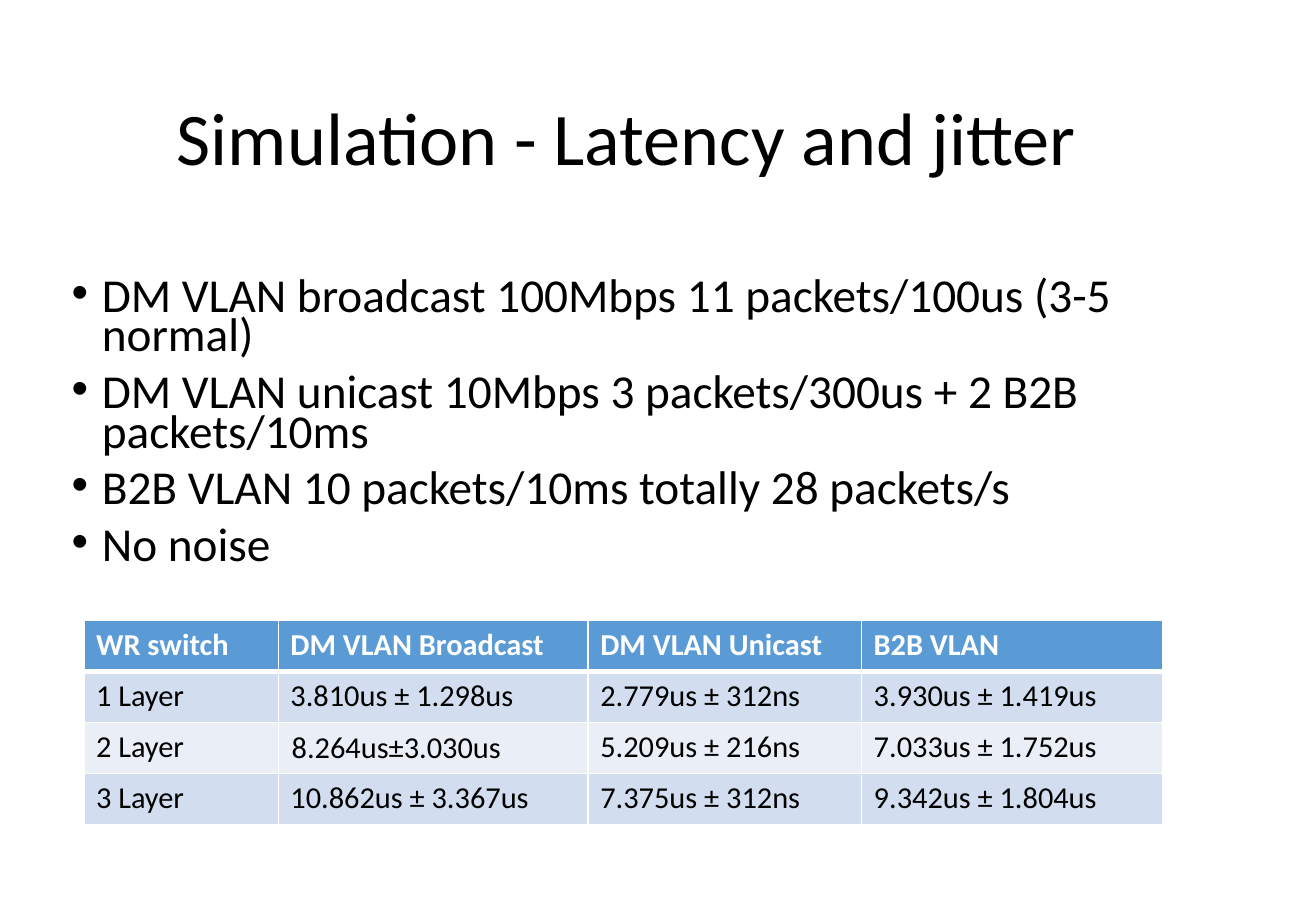
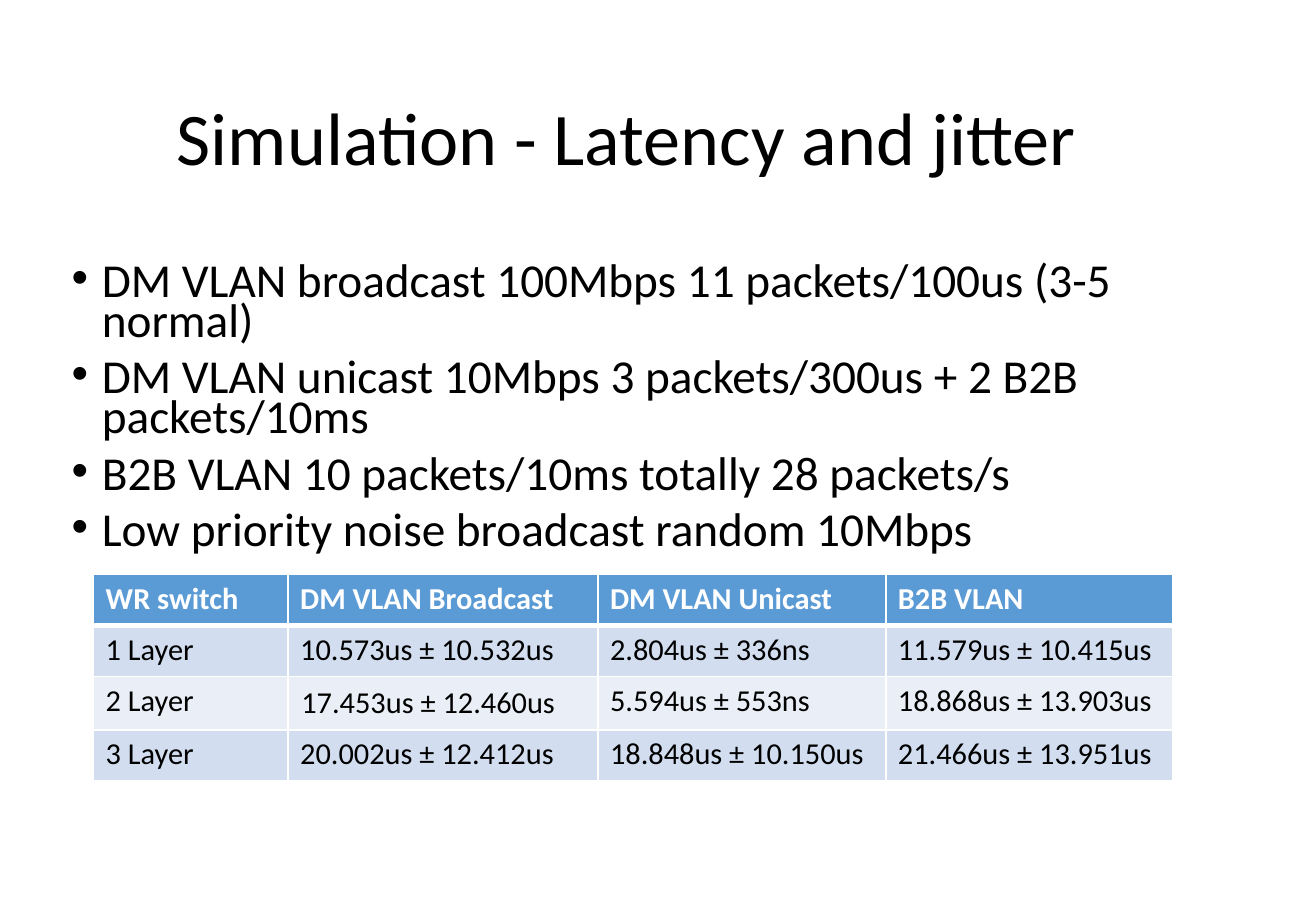
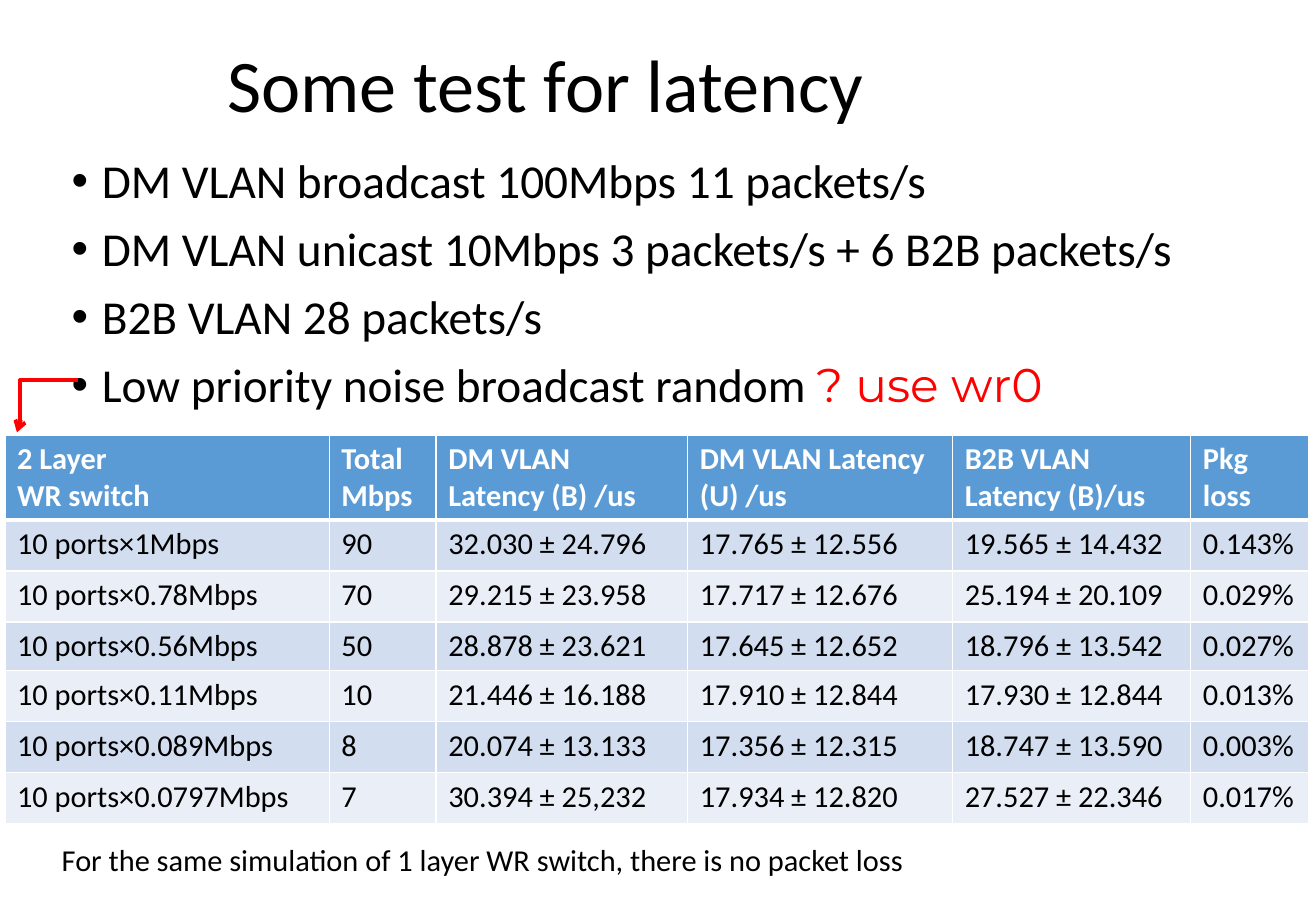
"""Build three slides on simulated and tested network latency."""
import pptx
import pptx.dml.color
import pptx.enum.shapes
import pptx.enum.text
import pptx.oxml
import pptx.oxml.ns
import pptx.util

Inches = pptx.util.Inches
Pt = pptx.util.Pt
RGBColor = pptx.dml.color.RGBColor
ANCHOR = pptx.enum.text.MSO_ANCHOR
ALIGN = pptx.enum.text.PP_ALIGN

BLACK = RGBColor(0x00, 0x00, 0x00)
WHITE = RGBColor(0xFF, 0xFF, 0xFF)
RED = RGBColor(0xFF, 0x00, 0x00)
HEADER_BLUE = RGBColor(0x5B, 0x9B, 0xD5)
BAND_DARK = RGBColor(0xD2, 0xDE, 0xEF)
BAND_LIGHT = RGBColor(0xEA, 0xEF, 0xF7)

SIMULATION_TITLE = "Simulation - Latency and jitter"
SIMULATION_BULLETS = [
    "DM VLAN broadcast 100Mbps 11 packets/100us (3-5 normal)",
    "DM VLAN unicast 10Mbps 3 packets/300us + 2 B2B packets/10ms",
    "B2B VLAN 10 packets/10ms totally 28 packets/s",
]
SIMULATION_HEADER = ["WR switch", "DM VLAN Broadcast", "DM VLAN Unicast", "B2B VLAN"]


class Deck:
    FONT = "Calibri"
    ACCENT_FONT = "Montserrat"
    TITLE_SIZE = Pt(44)
    BULLET_SIZE = Pt(28)
    TEXT_SIZE = Pt(18)

    def __init__(self):
        self.presentation = pptx.Presentation()
        self.presentation.slide_width = Inches(10.83)
        self.presentation.slide_height = Inches(7.5)
        self.slide = None

    def add_slide(self):
        self.slide = self.presentation.slides.add_slide(self.presentation.slide_layouts[6])

    def set_font(self, font, size, color=BLACK, bold=False, name=FONT):
        font.name = name
        font.size = size
        font.bold = bold
        font.color.rgb = color

    def add_frame(self, left, top, width, height):
        box = self.slide.shapes.add_textbox(
            Inches(left), Inches(top), Inches(width), Inches(height))
        box.text_frame.word_wrap = True
        return box.text_frame

    def add_title(self, text, left=0.49, top=0.44, align=ALIGN.CENTER):
        frame = self.add_frame(left, top, 9.34, 1.45)
        frame.vertical_anchor = ANCHOR.MIDDLE
        paragraph = frame.paragraphs[0]
        paragraph.text = text
        paragraph.alignment = align
        paragraph.line_spacing = 0.9
        self.set_font(paragraph.font, self.TITLE_SIZE)

    def add_bullets(self, lines, top, width=9.35, line_spacing=0.7):
        frame = self.add_frame(0.49, top, width, 2.9)
        frame.text = "\n".join(lines)
        for paragraph in frame.paragraphs:
            properties = paragraph._p.get_or_add_pPr()
            properties.set("marL", str(Inches(0.25)))
            properties.set("indent", str(Inches(-0.25)))
            for markup in ('<a:buFont {} typeface="Arial"/>', '<a:buChar {} char="•"/>'):
                properties.append(
                    pptx.oxml.parse_xml(markup.format(pptx.oxml.ns.nsdecls("a"))))
            paragraph.line_spacing = line_spacing
            paragraph.space_before = Pt(10)
            self.set_font(paragraph.font, self.BULLET_SIZE)
        return frame.paragraphs

    def add_accent(self, paragraph, text):
        run = paragraph.add_run()
        run.text = text
        self.set_font(run.font, self.BULLET_SIZE, RED, name=self.ACCENT_FONT)

    def add_note(self, text, left, top, width, height):
        paragraph = self.add_frame(left, top, width, height).paragraphs[0]
        paragraph.text = text
        self.set_font(paragraph.font, self.TEXT_SIZE)

    def add_table(self, left, top, widths, heights, rows):
        table = self.slide.shapes.add_table(
            len(rows), len(widths), Inches(left), Inches(top),
            Inches(sum(widths)), Inches(sum(heights))).table
        for column, width in zip(table.columns, widths):
            column.width = Inches(width)
        for row, height in zip(table.rows, heights):
            row.height = Inches(height)
        for row_index, values in enumerate(rows):
            for column_index, value in enumerate(values):
                self.fill_cell(table.cell(row_index, column_index), value, row_index)
        return table

    def fill_cell(self, cell, value, row_index):
        is_header = row_index == 0
        self.add_borders(cell, top=3 if row_index == 1 else 1, bottom=3 if is_header else 1)
        cell.fill.solid()
        band = BAND_DARK if row_index % 2 else BAND_LIGHT
        cell.fill.fore_color.rgb = HEADER_BLUE if is_header else band
        cell.text = value
        for paragraph in cell.text_frame.paragraphs:
            self.set_font(
                paragraph.font, self.TEXT_SIZE, WHITE if is_header else BLACK, is_header)

    def add_borders(self, cell, top, bottom):
        properties = cell._tc.get_or_add_tcPr()
        for side, width in (("L", 1), ("R", 1), ("T", top), ("B", bottom)):
            properties.append(pptx.oxml.parse_xml(
                f'<a:ln{side} {pptx.oxml.ns.nsdecls("a")} w="{Pt(width)}">'
                f'<a:solidFill><a:srgbClr val="{WHITE}"/></a:solidFill></a:ln{side}>'))

    def center_cell(self, cell):
        cell.vertical_anchor = ANCHOR.MIDDLE
        cell.margin_left = Inches(0.11)
        cell.margin_right = cell.margin_top = cell.margin_bottom = 0

    def add_elbow_arrow(self, start, end, bend):
        connector = self.slide.shapes.add_connector(
            pptx.enum.shapes.MSO_CONNECTOR.ELBOW, *map(Inches, start + end))
        connector.line.color.rgb = RED
        connector.line.width = Pt(2.25)
        namespace = pptx.oxml.ns.nsdecls("a")
        connector.line._get_or_add_ln().append(
            pptx.oxml.parse_xml(f'<a:tailEnd {namespace} type="arrow"/>'))
        properties = connector._element.spPr
        properties.append(pptx.oxml.parse_xml(f"<a:effectLst {namespace}/>"))
        adjustments = properties.find(".//" + pptx.oxml.ns.qn("a:avLst"))
        adjustments.append(pptx.oxml.parse_xml(
            f'<a:gd {namespace} name="adj1" fmla="val {round(bend * 100000)}"/>'))

    def add_simulation(self, noise, bullets_top, left, top, widths, heights, rows):
        self.add_slide()
        self.add_title(SIMULATION_TITLE)
        self.add_bullets(SIMULATION_BULLETS + [noise], bullets_top)
        table = self.add_table(left, top, widths, heights, [SIMULATION_HEADER] + rows)
        self.center_cell(table.cell(2, 1))


def main():
    deck = Deck()

    deck.add_simulation(
        "No noise", 2.26, 0.69, 5.11, [1.6, 2.55, 2.25, 2.48], [0.42] * 4,
        [
            ["1 Layer", "3.810us ± 1.298us", "2.779us ± 312ns", "3.930us ± 1.419us"],
            ["2 Layer", "8.264us±3.030us", "5.209us ± 216ns", "7.033us ± 1.752us"],
            ["3 Layer", "10.862us ± 3.367us", "7.375us ± 312ns", "9.342us ± 1.804us"],
        ])

    deck.add_simulation(
        "Low priority noise broadcast random 10Mbps", 2.14, 0.77, 4.73,
        [1.6, 2.55, 2.37, 2.36], [0.42, 0.42, 0.44, 0.42],
        [
            ["1 Layer", "10.573us ± 10.532us", "2.804us ± 336ns", "11.579us ± 10.415us"],
            ["2 Layer", "17.453us ± 12.460us", "5.594us ± 553ns", "18.868us ± 13.903us"],
            ["3 Layer", "20.002us ± 12.412us", "18.848us ± 10.150us", "21.466us ± 13.951us"],
        ])

    deck.add_slide()
    deck.add_title("Some test for latency", 1.77, 0, ALIGN.LEFT)
    bullets = deck.add_bullets(
        [
            "DM VLAN broadcast 100Mbps 11 packets/s",
            "DM VLAN unicast 10Mbps 3 packets/s + 6 B2B packets/s",
            "B2B VLAN 28 packets/s",
            "Low priority noise broadcast random ",
        ], 1.25, 11.11, 0.9)
    deck.add_accent(bullets[-1], "? use wr0")
    deck.add_table(
        0.04, 3.58, [2.67, 0.88, 2.07, 2.18, 1.96, 0.97],
        [0.7, 0.42, 0.42, 0.39, 0.42, 0.42, 0.42],
        [
            ["2 Layer\nWR switch", "Total\nMbps", "DM VLAN\nLatency (B) /us",
             "DM VLAN Latency (U) /us", "B2B VLAN\nLatency (B)/us", "Pkg loss"],
            ["10 ports×1Mbps", "90", "32.030 ± 24.796",
             "17.765 ± 12.556", "19.565 ± 14.432", "0.143%"],
            ["10 ports×0.78Mbps", "70", "29.215 ± 23.958",
             "17.717 ± 12.676", "25.194 ± 20.109", "0.029%"],
            ["10 ports×0.56Mbps", "50", "28.878 ± 23.621",
             "17.645 ± 12.652", "18.796 ± 13.542", "0.027%"],
            ["10 ports×0.11Mbps", "10", "21.446 ± 16.188",
             "17.910 ± 12.844", "17.930 ± 12.844", "0.013%"],
            ["10 ports×0.089Mbps", "8", "20.074 ± 13.133",
             "17.356 ± 12.315", "18.747 ± 13.590", "0.003%"],
            ["10 ports×0.0797Mbps", "7", "30.394 ± 25,232",
             "17.934 ± 12.820", "27.527 ± 22.346", "0.017%"],
        ])
    deck.add_elbow_arrow((0.64, 3.13), (0.14, 3.56), 0.95)
    deck.add_note(
        "For the same simulation of 1 layer WR switch, there is no packet loss",
        0.41, 6.88, 8.54, 0.4)

    deck.presentation.save("out.pptx")


if __name__ == "__main__":
    main()
